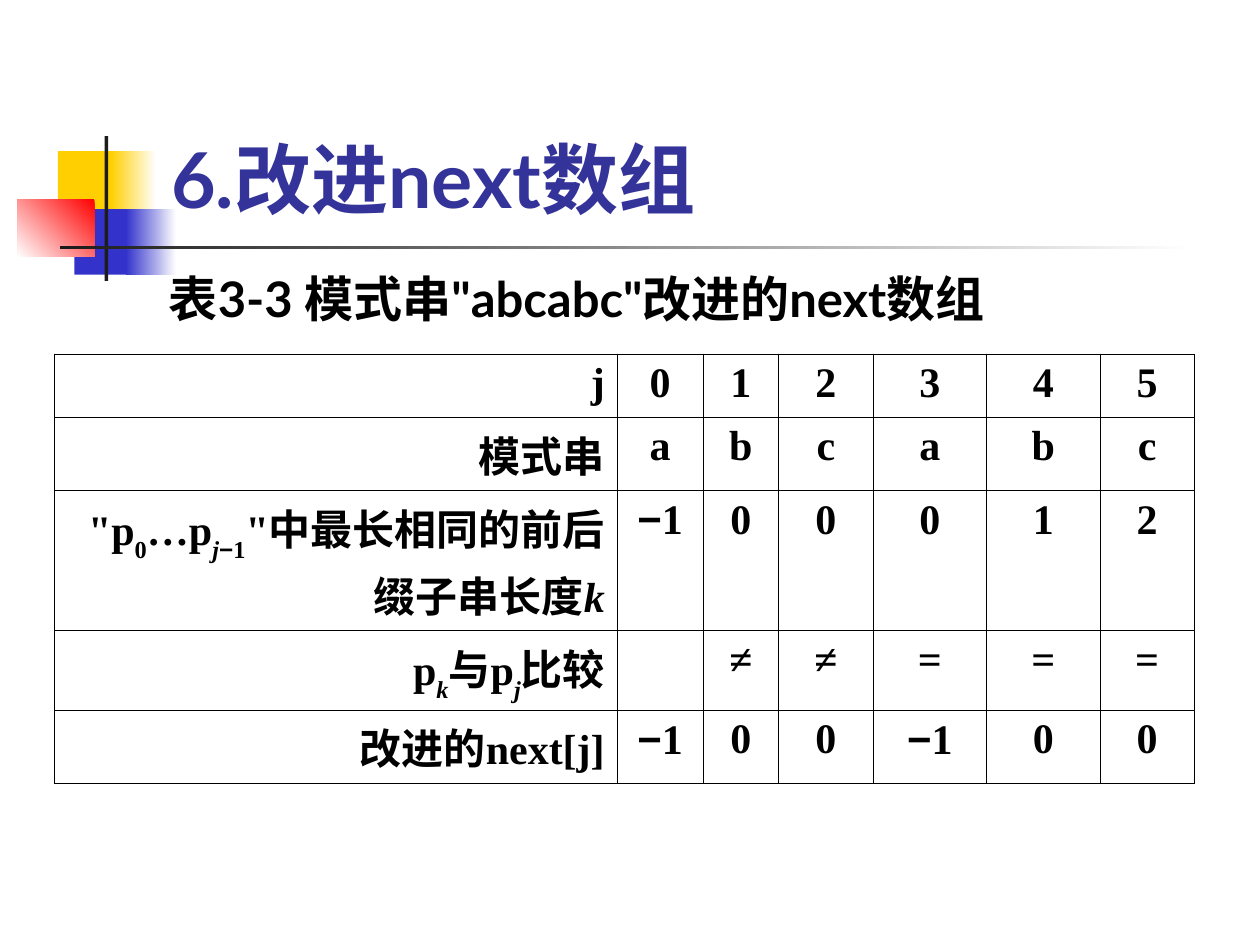
from itertools import groupby

from lxml.etree import SubElement
from pptx import Presentation
from pptx.dml.color import RGBColor
from pptx.enum.shapes import MSO_SHAPE as Shape
from pptx.enum.text import MSO_ANCHOR as Anchor, MSO_AUTO_SIZE as AutoSize, PP_ALIGN as Align
from pptx.oxml.ns import qn
from pptx.util import Inches, Pt

COLORS = {
    "white": "FFFFFF", "black": "000000", "title": "333399", "yellow": "FFCF01",
    "blue": "3333CC", "red": "FF0000", "dark": "1C1C1C",
}
TITLE = "6.改进next数组"
CAPTION = '表3-3 模式串"abcabc"改进的next数组 '
DECORATIONS = [
    ((0.46, 1.2, 0.48, 0.52), ["yellow"], 0),
    ((0.88, 1.2, 0.36, 0.52), ["white", "yellow"], 180),
    ((0.59, 1.66, 0.46, 0.52), ["blue"], 0),
    ((1, 1.66, 0.4, 0.52), ["white", "blue"], 180),
    ((0.14, 1.58, 0.61, 0.46), ["red", "white"], 225),
    ((0.83, 1.08, 0.03, 1.15), ["dark"], 0),
    ((0.48, 1.95, 9, 0.03), ["white", "dark"], 180),
]
ROWS = [
    ([("j", "")], ["0", "1", "2", "3", "4", "5"]),
    ([("模式串", "")], ["a", "b", "c", "a", "b", "c"]),
    ([('"p', ""), ("0", "sub"), ("…p", ""), ("j", "sub italic"), ("−1", "sub"),
      ('"中最长相同的前后缀子串长度', ""), ("k", "italic")],
     ["−1", "0", "0", "0", "1", "2"]),
    ([("p", ""), ("k", "sub italic"), ("与p", ""), ("j", "sub italic"), ("比较", "")],
     ["", "≠", "≠", "=", "=", "="]),
    ([("改进的next[j]", "")], ["−1", "0", "0", "−1", "0", "0"]),
]
COLUMN_WIDTHS = [4.47, 0.68, 0.6, 0.75, 0.9, 0.9, 0.75]
ROW_HEIGHTS = [0.5, 0.5, 0.97, 0.57, 0.5]


def rgb(name):
    return RGBColor.from_string(COLORS[name])


def add_span(para, text, font, size, color="black", style=""):
    span = para.add_run()
    span.text = text
    span.font.name, span.font.size, span.font.bold = font, Pt(size), True
    span.font.color.rgb = rgb(color)
    if "italic" in style:
        span.font.italic = True
    if "sub" in style:
        span._r.get_or_add_rPr().set("baseline", "-30000")


def fill_placeholder(holder, box, text, size, color, align, anchor):
    holder.left, holder.top, holder.width, holder.height = map(Inches, box)
    frame = holder.text_frame
    frame.auto_size, frame.word_wrap = AutoSize.NONE, True
    frame.vertical_anchor = anchor
    para = frame.paragraphs[0]
    para.alignment, para.space_before = align, Pt(0)
    add_span(para, text, "Lato", size, color)
    return para


def add_decoration(page, position, box, colors, angle):
    block = page.shapes.add_shape(Shape.RECTANGLE, *map(Inches, box))
    block.shadow.inherit = False
    block.line.fill.background()
    if len(colors) == 1:
        block.fill.solid()
        block.fill.fore_color.rgb = rgb(colors[0])
    else:
        block.fill.gradient()
        block.fill.gradient_angle = angle
        for stop, color in zip(block.fill.gradient_stops, colors):
            stop.color.rgb = rgb(color)
    page.shapes.element.insert(2 + position, block.element)


def format_cell(cell, spans, align):
    properties = cell._tc.get_or_add_tcPr()
    for side in ("lnL", "lnR", "lnT", "lnB"):
        line = SubElement(properties, qn(f"a:{side}"), w=str(Pt(0.45)))
        SubElement(SubElement(line, qn("a:solidFill")), qn("a:srgbClr"), val=COLORS["black"])
    cell.fill.background()
    para = cell.text_frame.paragraphs[0]
    para.alignment = align
    for text, style in spans:
        for is_minus, letters in groupby(text, lambda letter: letter == "−"):
            font = "Arial" if is_minus else "Times New Roman"
            add_span(para, "".join(letters), font, 24, style=style)


def add_next_table(page):
    size = (sum(COLUMN_WIDTHS), sum(ROW_HEIGHTS))
    frame = page.shapes.add_table(len(ROWS), len(COLUMN_WIDTHS), *map(Inches, (0.43, 2.81, *size)))
    table = frame.table
    table.first_row = table.horz_banding = False
    for column, width in zip(table.columns, COLUMN_WIDTHS):
        column.width = Inches(width)
    for row, height, (label, values) in zip(table.rows, ROW_HEIGHTS, ROWS):
        row.height = Inches(height)
        label_cell, *value_cells = row.cells
        format_cell(label_cell, label, Align.RIGHT)
        for cell, value in zip(value_cells, values):
            format_cell(cell, [(value, "")], Align.CENTER)


def main():
    """Build the slide on the improved next array."""
    deck = Presentation()
    deck.slide_width, deck.slide_height = Inches(10), Inches(7.5)
    page = deck.slides.add_slide(deck.slide_layouts[1])
    for position, decoration in enumerate(DECORATIONS):
        add_decoration(page, position, *decoration)
    fill_placeholder(page.shapes.title, (1.26, 0.91, 8.52, 0.92), TITLE, 44, "title",
                     Align.LEFT, Anchor.BOTTOM)
    caption = fill_placeholder(page.placeholders[1], (0.59, 2.17, 8.06, 0.48), CAPTION, 28,
                               "black", Align.CENTER, Anchor.TOP)
    caption.line_spacing = 0.8
    properties = caption._p.get_or_add_pPr()
    properties.set("marL", "0")
    properties.set("indent", "0")
    SubElement(properties, qn("a:buNone"))
    add_next_table(page)
    deck.save("out.pptx")


if __name__ == "__main__":
    main()
